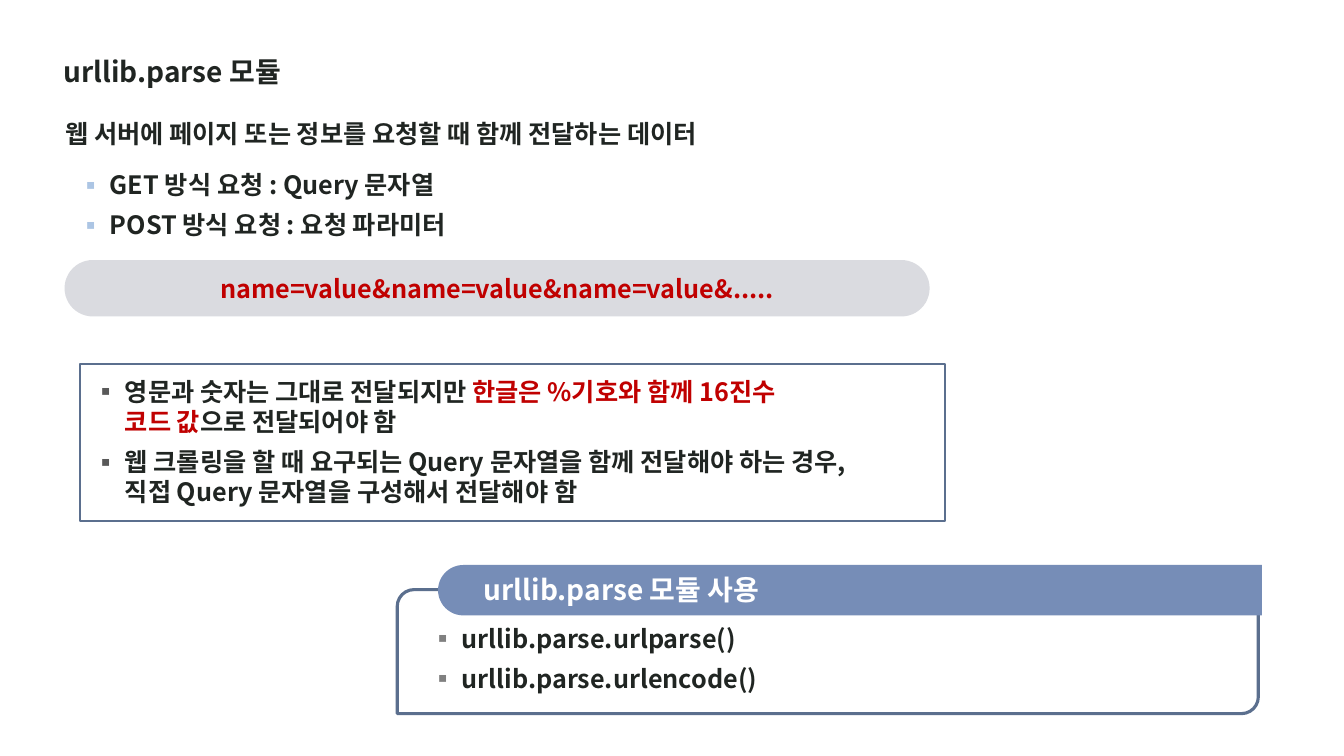
"""Build the slide on the urllib.parse module and query strings."""
import pptx
import pptx.dml.color
import pptx.enum.shapes
import pptx.enum.text
import pptx.oxml.ns
import pptx.util
from lxml import etree

Inches = pptx.util.Inches
SHAPES = pptx.enum.shapes.MSO_SHAPE
ALIGN = pptx.enum.text.PP_ALIGN
ANCHOR = pptx.enum.text.MSO_ANCHOR

FONT = "Noto Sans CJK KR"
COLORS = {
    "text": "202522", "accent": "C00000", "white": "FFFFFF",
    "pill": "DADBE0", "outline": "5B6F8E", "header": "768DB7",
    "light_bullet": "ACC5E4", "dark_bullet": "595959", "gray_bullet": "808080",
}

TITLE = [[("urllib.parse 모듈", "text")]]
LEAD = [[("웹 서버에 페이지 또는 정보를 요청할 때 함께 전달하는 데이터", "text")]]
REQUESTS = [
    [("GET 방식 요청 : Query 문자열", "text")],
    [("POST 방식 요청 : 요청 파라미터", "text")],
]
QUERY = [[("name=value&name=value&name=value&.....", "accent")]]
NOTES = [
    [("영문과 숫자는 그대로 전달되지만 ", "text"),
     ("한글은 %기호와 함께 16진수 \n코드 값", "accent"),
     ("으로 전달되어야 함", "text")],
    [("웹 크롤링을 할 때 요구되는 Query 문자열을 함께 전달해야 하는 경우,\n"
      "직접 Query 문자열을 구성해서 전달해야 함", "text")],
]
USAGE_HEADER = [[("urllib.parse 모듈 사용", "white")]]
USAGE = [
    [("urllib.parse.urlparse()", "text")],
    [("urllib.parse.urlencode()", "text")],
]


def rgb(name):
    return pptx.dml.color.RGBColor.from_string(COLORS[name])


def add_element(parent, tag, **attributes):
    return etree.SubElement(parent, pptx.oxml.ns.qn(tag), attributes)


def add_bullet(paragraph, color):
    properties = paragraph._p.get_or_add_pPr()
    properties.set("marL", str(Inches(0.31)))
    properties.set("indent", str(-Inches(0.31)))
    add_element(add_element(properties, "a:buClr"), "a:srgbClr", val=COLORS[color])
    add_element(properties, "a:buFont", typeface=FONT)
    add_element(properties, "a:buChar", char="▪")


def write(shape, paragraphs, size=18, bullet=None, align=ALIGN.LEFT, anchor=ANCHOR.TOP):
    frame = shape.text_frame
    frame.word_wrap = True
    frame.auto_size = pptx.enum.text.MSO_AUTO_SIZE.NONE
    frame.vertical_anchor = anchor
    for index, runs in enumerate(paragraphs):
        paragraph = frame.add_paragraph() if index else frame.paragraphs[0]
        if bullet:
            add_bullet(paragraph, bullet)
        paragraph.alignment = align
        paragraph.space_before = pptx.util.Pt(7 if index else 0)
        for text, color in runs:
            for line_number, line in enumerate(text.split("\n")):
                if line_number:
                    paragraph.add_line_break()
                run = paragraph.add_run()
                run.text = line
                run.font.size = pptx.util.Pt(size)
                run.font.bold = True
                run.font.name = FONT
                run.font.color.rgb = rgb(color)
                add_element(run._r.get_or_add_rPr(), "a:ea", typeface=FONT)


def place(shape, *box):
    shape.left, shape.top, shape.width, shape.height = map(Inches, box)
    return shape


def add_text(slide, box, paragraphs, **style):
    write(slide.shapes.add_textbox(*map(Inches, box)), paragraphs, **style)


def add_panel(slide, kind, box, fill, line_width=0, adjustments=()):
    shape = slide.shapes.add_shape(kind, *map(Inches, box))
    shape.shadow.inherit = False
    shape.fill.solid()
    shape.fill.fore_color.rgb = rgb(fill)
    if line_width:
        shape.line.color.rgb = rgb("outline")
        shape.line.width = pptx.util.Pt(line_width)
    else:
        shape.line.fill.background()
    for index, value in enumerate(adjustments):
        shape.adjustments[index] = value
    return shape


def main():
    presentation = pptx.Presentation()
    presentation.slide_width = Inches(13.33)
    presentation.slide_height = Inches(7.5)
    slide = presentation.slides.add_slide(presentation.slide_layouts[1])

    write(place(slide.shapes.title, 0.53, 0.49, 8.82, 0.44), TITLE, size=20)
    add_text(slide, (0.55, 1.12, 8.31, 0.4), LEAD)
    write(place(slide.placeholders[1], 0.68, 1.63, 7.77, 0.8), REQUESTS, bullet="light_bullet")

    pill = add_panel(slide, SHAPES.ROUNDED_RECTANGLE, (0.64, 2.58, 8.58, 0.56), "pill",
                     adjustments=[0.5])
    write(pill, QUERY, align=ALIGN.CENTER, anchor=ANCHOR.MIDDLE)

    add_panel(slide, SHAPES.RECTANGLE, (0.79, 3.61, 8.58, 1.56), "white", 1.5)
    add_text(slide, (0.83, 3.68, 8.31, 1.41), NOTES, bullet="dark_bullet")

    add_panel(slide, SHAPES.ROUND_2_DIAG_RECTANGLE, (3.94, 5.85, 8.54, 1.23), "white", 2.25,
              [0.135, 0])
    header = add_panel(slide, SHAPES.ROUND_2_SAME_RECTANGLE, (8.18, 1.77, 0.5, 8.17), "header",
                       adjustments=[0.5, 0])
    header.rotation = 270
    add_text(slide, (4.7, 5.63, 7.65, 0.44), USAGE_HEADER, size=20)
    add_text(slide, (4.17, 6.13, 8.19, 0.8), USAGE, bullet="gray_bullet")

    presentation.save("out.pptx")


if __name__ == "__main__":
    main()
